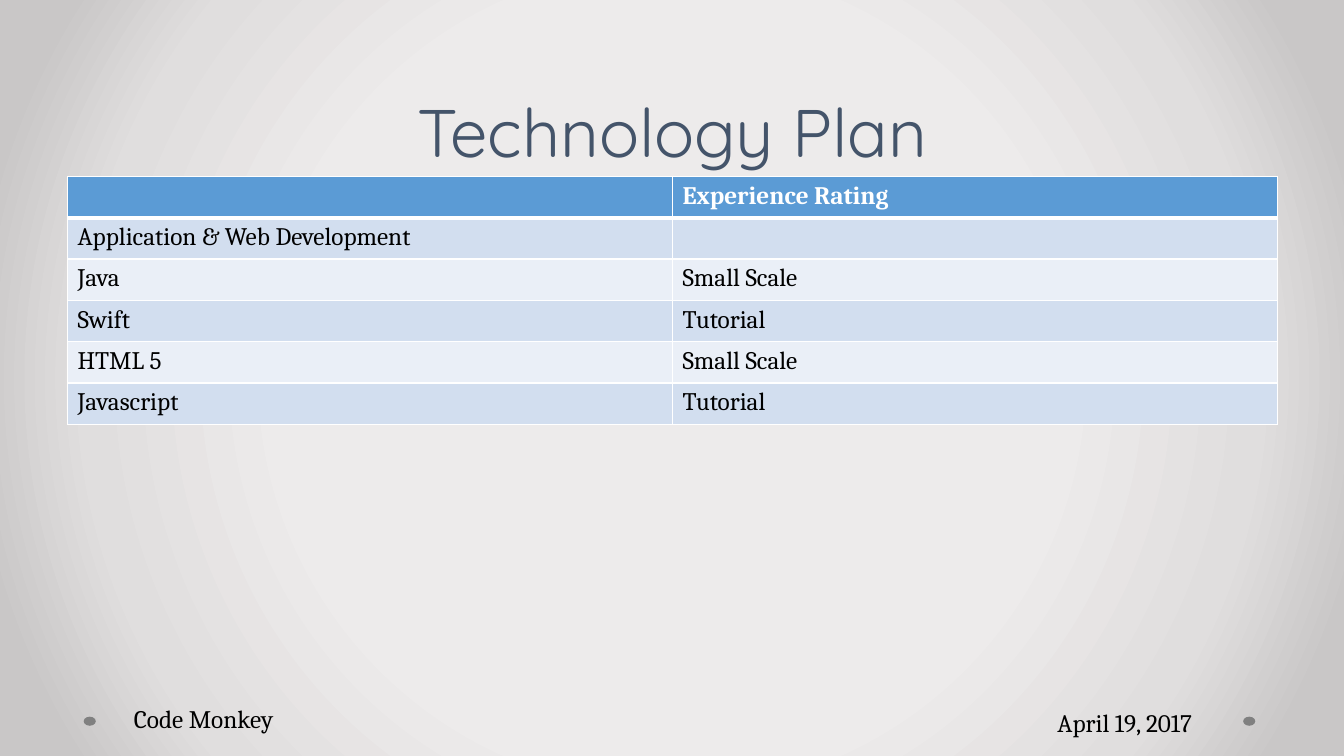
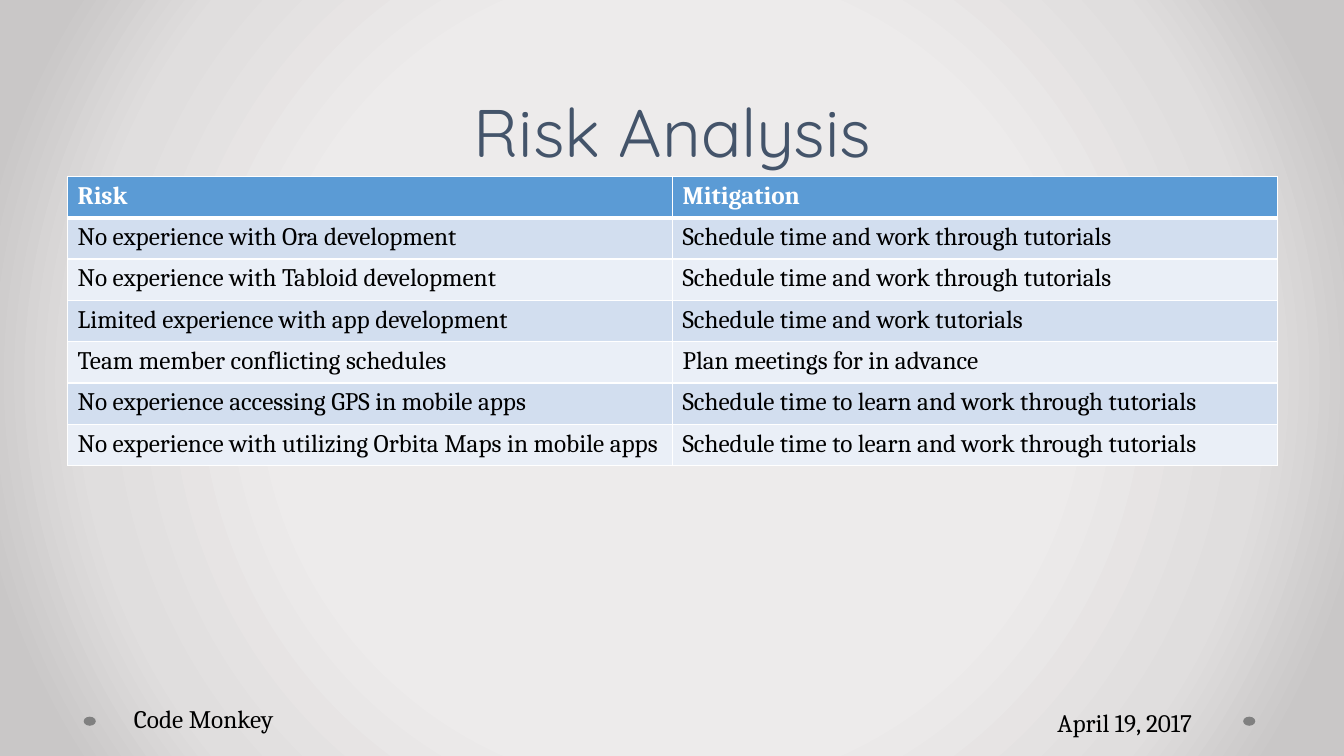
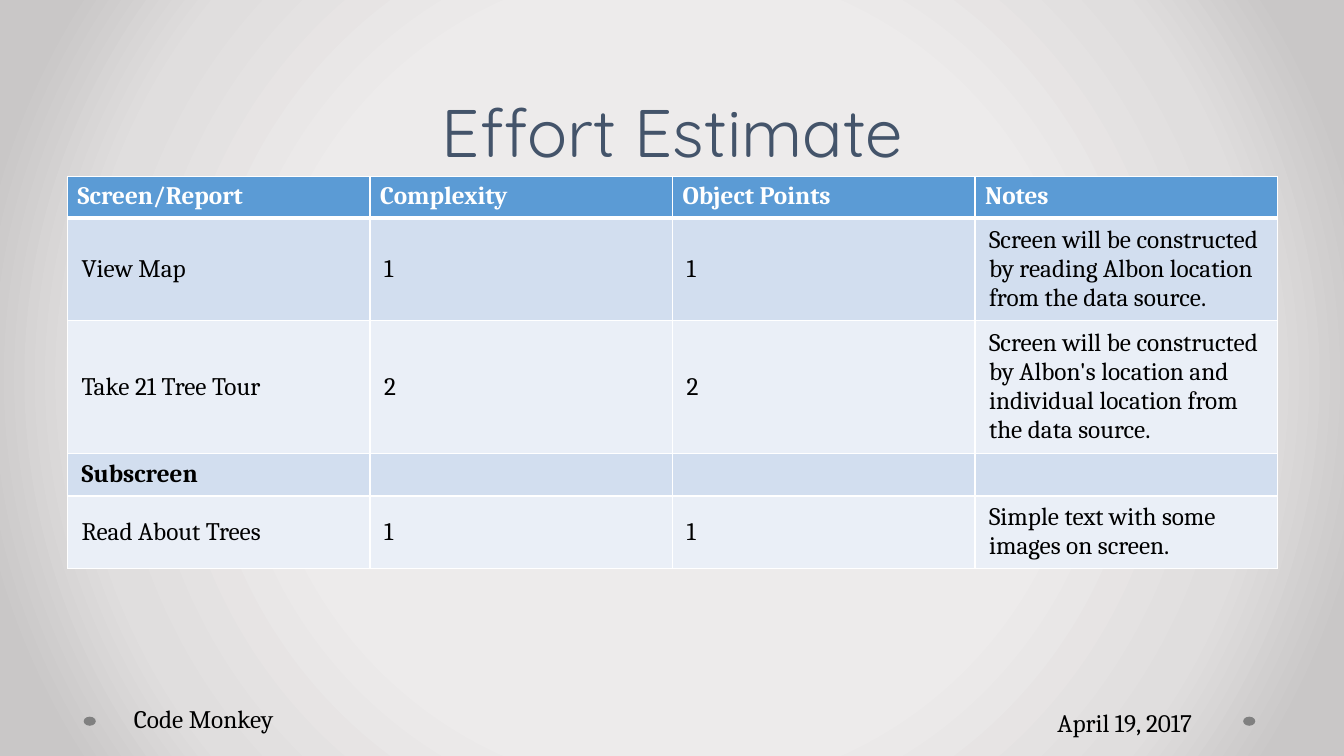
from pptx import Presentation
from pptx.dml.color import RGBColor
from pptx.enum.shapes import MSO_SHAPE
from pptx.enum.text import MSO_ANCHOR, MSO_AUTO_SIZE, PP_ALIGN
from pptx.oxml import parse_xml
from pptx.oxml.ns import nsdecls
from pptx.util import Inches, Pt

COLOURS = {
    "title": "44546A",
    "text": "000000",
    "header": "5B9BD5",
    "band": "D2DEEF",
    "light": "EAEFF7",
    "white": "FFFFFF",
    "dot": "808080",
}
BACKDROP = {50: "EDEBEB", 76: "E0DEDE", 92: "C9C7C7"}

TECHNOLOGY = [
    ["", "Experience Rating"],
    ["Application & Web Development", ""],
    ["Java", "Small Scale"],
    ["Swift", "Tutorial"],
    ["HTML 5", "Small Scale"],
    ["Javascript", "Tutorial"],
]
RISKS = [
    ["Risk", "Mitigation"],
    ["No experience with Ora development", "Schedule time and work through tutorials"],
    ["No experience with Tabloid development", "Schedule time and work through tutorials"],
    ["Limited experience with app development", "Schedule time and work tutorials"],
    ["Team member conflicting schedules", "Plan meetings for in advance"],
    ["No experience accessing GPS in mobile apps",
     "Schedule time to learn and work through tutorials"],
    ["No experience with utilizing Orbita Maps in mobile apps",
     "Schedule time to learn and work through tutorials"],
]
EFFORT = [
    ["Screen/Report", "Complexity", "Object Points", "Notes"],
    ["View Map", "1", "1",
     "Screen will be constructed by reading Albon location from the data source."],
    ["Take 21 Tree Tour", "2", "2",
     "Screen will be constructed by Albon's location and individual location "
     "from the data source."],
    ["Subscreen", "", "", ""],
    ["Read About Trees", "1", "1", "Simple text with some images on screen."],
]


def colour(name):
    return RGBColor.from_string(COLOURS[name])


def apply(target, values):
    for name, value in values.items():
        setattr(target, name, value)


class SlideBuilder:
    title_font = {"name": "Quicksand", "size": Pt(48)}
    body_font = {"name": "Cambria", "size": Pt(18)}
    roomy_cell = {
        "vertical_anchor": MSO_ANCHOR.MIDDLE,
        "margin_left": Inches(0.14),
        "margin_right": Inches(0.14),
        "margin_top": Inches(0.06),
        "margin_bottom": Inches(0.06),
    }
    left, width, table_top, row_height = 0.67, 12, 1.75, 0.41

    def __init__(self):
        self.deck = Presentation()
        self.deck.slide_width = Inches(13.33)
        self.deck.slide_height = Inches(7.5)
        self.page = None
        self.backdrop()

    def backdrop(self):
        master = self.deck.slide_master
        master.background.fill.gradient()
        stops = "".join(
            f'<a:gs pos="{place * 1000}"><a:srgbClr val="{value}"/></a:gs>'
            for place, value in BACKDROP.items()
        )
        gradient = parse_xml(
            f'<a:gradFill {nsdecls("a")} rotWithShape="1"><a:gsLst>{stops}</a:gsLst>'
            '<a:path path="circle"><a:fillToRect l="50000" t="50000" r="50000" b="50000"/>'
            "</a:path></a:gradFill>"
        )
        properties = master.element.cSld.bg.bgPr
        properties.replace(properties[0], gradient)

    def start(self, title):
        self.page = self.deck.slides.add_slide(self.deck.slide_layouts[6])
        for left in (12.33, 0.83):
            self.dot(left)
        self.title(title)

    def finish(self):
        self.label("Code Monkey", 1.23, 6.93, 1.78)
        self.label("April 19, 2017", 10.39, 6.97, 1.74)

    def dot(self, left):
        dot = self.page.shapes.add_shape(
            MSO_SHAPE.OVAL, Inches(left), Inches(7.11), Inches(0.12), Inches(0.09)
        )
        dot.shadow.inherit = False
        dot.fill.solid()
        dot.fill.fore_color.rgb = colour("dot")
        dot.line.fill.background()

    def add_text(self, para, text, font, ink, bold=False):
        span = para.add_run()
        span.text = text
        apply(span.font, {**font, "bold": bold})
        span.font.color.rgb = colour(ink)

    def text_box(self, left, top, width, height, frame_format):
        box = self.page.shapes.add_textbox(
            Inches(left), Inches(top), Inches(width), Inches(height)
        )
        apply(box.text_frame, frame_format)
        return box.text_frame.paragraphs[0]

    def title(self, text):
        para = self.text_box(
            self.left, 0, self.width, self.table_top,
            {"word_wrap": True, "vertical_anchor": MSO_ANCHOR.BOTTOM},
        )
        apply(para, {"alignment": PP_ALIGN.CENTER, "line_spacing": Pt(48)})
        self.add_text(para, text, self.title_font, "title")

    def label(self, text, left, top, width):
        para = self.text_box(
            left, top, width, 0.4,
            {"word_wrap": False, "auto_size": MSO_AUTO_SIZE.SHAPE_TO_FIT_TEXT},
        )
        self.add_text(para, text, self.body_font, "text")

    def borders(self, cell, top, bottom):
        properties = cell._tc.get_or_add_tcPr()
        for side, points in {"L": 1, "R": 1, "T": top, "B": bottom}.items():
            properties.append(parse_xml(
                f'<a:ln{side} {nsdecls("a")} w="{Pt(points)}"><a:solidFill>'
                f'<a:srgbClr val="{COLOURS["white"]}"/></a:solidFill></a:ln{side}>'
            ))

    def table(self, rows, cell_format=None, heights=None, bold_words=()):
        columns = len(rows[0])
        heights = heights or [self.row_height] * len(rows)
        table = self.page.shapes.add_table(
            len(rows), columns, Inches(self.left), Inches(self.table_top),
            Inches(self.width), Inches(sum(heights)),
        ).table
        table.horz_banding = False
        for column in table.columns:
            column.width = Inches(self.width / columns)
        for number, texts in enumerate(rows):
            table.rows[number].height = Inches(heights[number])
            header = number == 0
            fill = "header" if header else "band" if number % 2 else "light"
            for cell, text in zip(table.rows[number].cells, texts):
                self.borders(cell, 3 if number == 1 else 1, 3 if header else 1)
                cell.fill.solid()
                cell.fill.fore_color.rgb = colour(fill)
                if not header:
                    apply(cell, cell_format or {})
                if text:
                    self.add_text(
                        cell.text_frame.paragraphs[0], text, self.body_font,
                        "white" if header else "text", header or text in bold_words,
                    )


def main():
    builder = SlideBuilder()
    effort_style = {
        "cell_format": builder.roomy_cell,
        "heights": [0.41, 0.58, 0.41, 0.41, 0.41],
        "bold_words": ("Subscreen",),
    }
    for title, rows, style in (
        ("Technology Plan", TECHNOLOGY, {}),
        ("Risk Analysis", RISKS, {}),
        ("Effort Estimate", EFFORT, effort_style),
    ):
        builder.start(title)
        builder.table(rows, **style)
        builder.finish()
    builder.deck.save("out.pptx")


if __name__ == "__main__":
    main()
